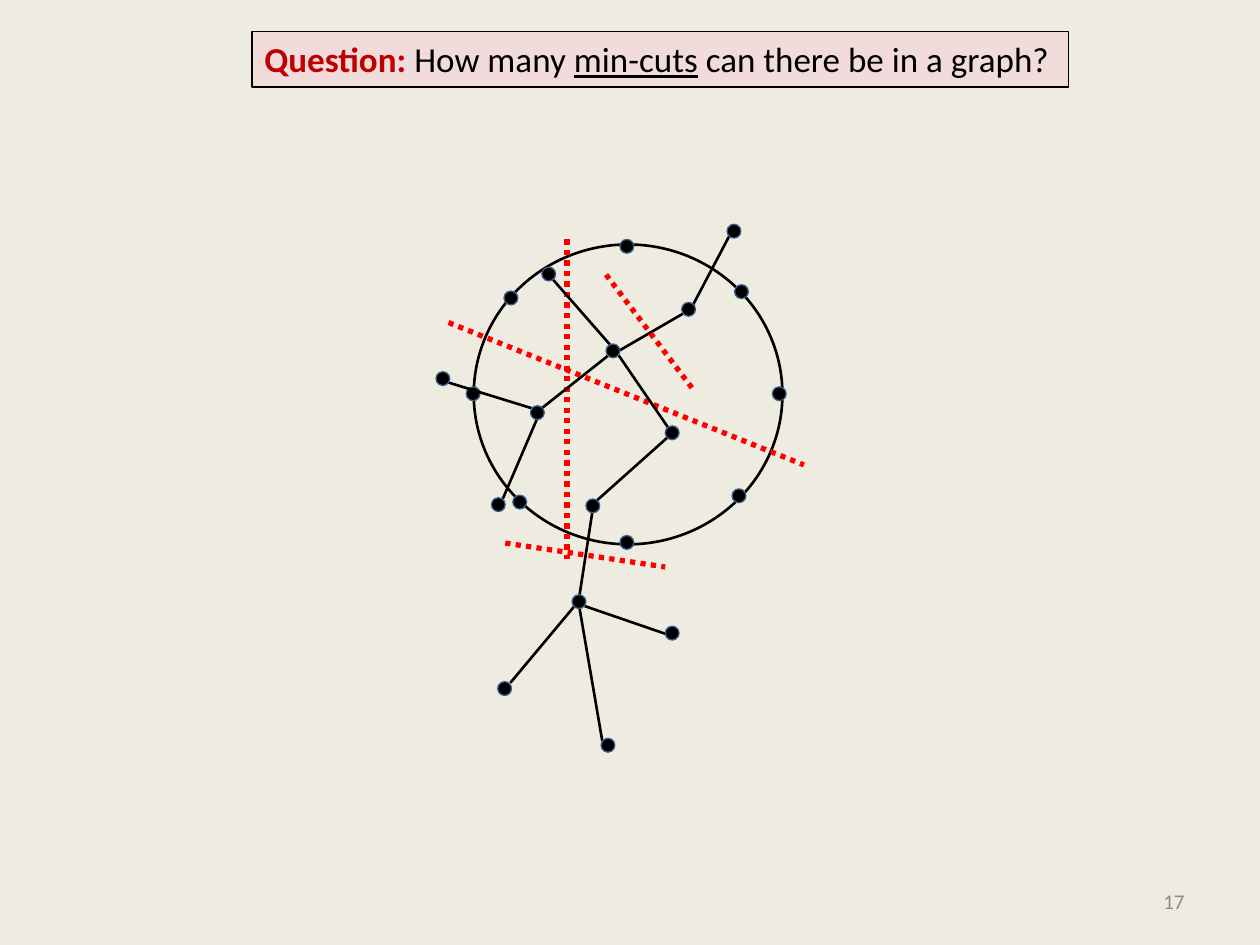
"""Build a slide asking how many min-cuts a graph can have."""
from lxml.etree import SubElement
from pptx import Presentation
from pptx.dml.color import RGBColor as Rgb
from pptx.enum.dml import MSO_LINE as Dash
from pptx.enum.shapes import MSO_CONNECTOR as Conn, MSO_SHAPE as Kind
from pptx.enum.text import MSO_ANCHOR as Anchor, MSO_AUTO_SIZE as Fit, PP_ALIGN as Align
from pptx.oxml.ns import qn
from pptx.util import Inches, Pt

HUE = {"back": "EEECE1", "ink": "000000", "rim": "3A5F8C", "cut": "FF0000",
       "box": "F2DCDB", "lead": "C00000", "page": "8C8C8C"}
FONT = "Calibri"
DOT = 0.11

ASK = [("Question:", {"hue": "lead", "bold": True}), (" How many ", {}),
       ("min-cuts", {"line": True}), (" can there be in a graph?", {})]
PAGE = [("17", {"hue": "page"})]

RING = (3.76, 1.94, 2.45, 2.38)
RING_DOTS = [(4.92, 1.9), (6.13, 3.07), (3.7, 3.07), (4.92, 4.25),
             (5.81, 3.88), (4, 2.31), (4.07, 3.93), (5.83, 2.26)]
TREE_DOTS = [(4.3, 2.12), (4.81, 2.73), (4.21, 3.22), (5.41, 2.4), (5.28, 3.38),
             (4.65, 3.96), (3.46, 2.95), (3.9, 3.95), (4.54, 4.72), (5.28, 4.97),
             (3.95, 5.41), (4.77, 5.86), (5.77, 1.78)]
TREE_EDGES = [(4.39, 2.22, 4.88, 2.78), (4.3, 3.24, 4.83, 2.82),
              (5.42, 2.49, 4.92, 2.78), (5.3, 3.39, 4.91, 2.82),
              (5.3, 3.47, 4.74, 3.97), (3.54, 3.03, 4.22, 3.24),
              (4.26, 3.33, 3.99, 3.96), (4.6, 4.72, 4.7, 4.07),
              (4.64, 4.81, 5.28, 5.03), (4.56, 4.81, 4.05, 5.42),
              (4.6, 4.83, 4.78, 5.88), (5.79, 1.87, 5.5, 2.42)]
RING_CUTS = [(3.56, 2.56, 6.38, 3.69), (4.5, 1.9, 4.5, 4.44)]
TREE_CUTS = [(4.01, 4.31, 5.28, 4.5), (4.81, 2.18, 5.5, 3.09)]


def tint(name):
    return Rgb.from_string(HUE[name])


def add_text(slide, runs, area, size, align=Align.LEFT, anchor=Anchor.TOP, wrap=True):
    box = slide.shapes.add_textbox(*map(Inches, area))
    frame = box.text_frame
    frame.word_wrap = wrap
    frame.auto_size = Fit.NONE if wrap else Fit.SHAPE_TO_FIT_TEXT
    frame.vertical_anchor = anchor
    para = frame.paragraphs[0]
    para.alignment = align
    for words, look in runs:
        run = para.add_run()
        run.text = words
        font = run.font
        font.name, font.size = FONT, Pt(size)
        font.bold = look.get("bold", False)
        font.underline = look.get("line", False)
        font.color.rgb = tint(look.get("hue", "ink"))
    return box


def add_oval(shapes, area, rim, width, fill=None):
    oval = shapes.add_shape(Kind.OVAL, *map(Inches, area))
    oval.shadow.inherit = False
    if fill:
        oval.fill.solid()
        oval.fill.fore_color.rgb = tint(fill)
    else:
        oval.fill.background()
    oval.line.color.rgb = tint(rim)
    oval.line.width = Pt(width)


def add_dots(shapes, spots):
    for x, y in spots:
        add_oval(shapes, (x, y, DOT, DOT), "rim", 0.75, "ink")


def add_lines(shapes, ends, hue, width, dash=None):
    for pts in ends:
        link = shapes.add_connector(Conn.STRAIGHT, *map(Inches, pts))
        link.line.color.rgb = tint(hue)
        link.line.width = Pt(width)
        if dash:
            link.line.dash_style = dash
        SubElement(link._element.spPr, qn("a:effectLst"))


def add_cuts(shapes, ends):
    add_lines(shapes, ends, "cut", 3, Dash.ROUND_DOT)


def main():
    deck = Presentation()
    deck.slide_width, deck.slide_height = Inches(10), Inches(7.5)
    slide = deck.slides.add_slide(deck.slide_layouts[6])
    slide.background.fill.solid()
    slide.background.fill.fore_color.rgb = tint("back")

    add_text(slide, PAGE, (7.17, 6.95, 2.33, 0.4), 12, Align.RIGHT, Anchor.MIDDLE)

    ring = slide.shapes.add_group_shape().shapes
    add_oval(ring, RING, "ink", 1.5)
    add_dots(ring, RING_DOTS)
    add_cuts(slide.shapes, RING_CUTS)

    tree = slide.shapes.add_group_shape().shapes
    add_lines(tree, TREE_EDGES, "ink", 1.5)
    add_dots(tree, TREE_DOTS)
    add_cuts(slide.shapes, TREE_CUTS)

    ask = add_text(slide, ASK, (2, 0.25, 6.48, 0.44), 20, wrap=False)
    ask.fill.solid()
    ask.fill.fore_color.rgb = tint("box")
    ask.line.color.rgb = tint("ink")
    ask.line.width = Pt(0.75)

    deck.save("out.pptx")


if __name__ == "__main__":
    main()
